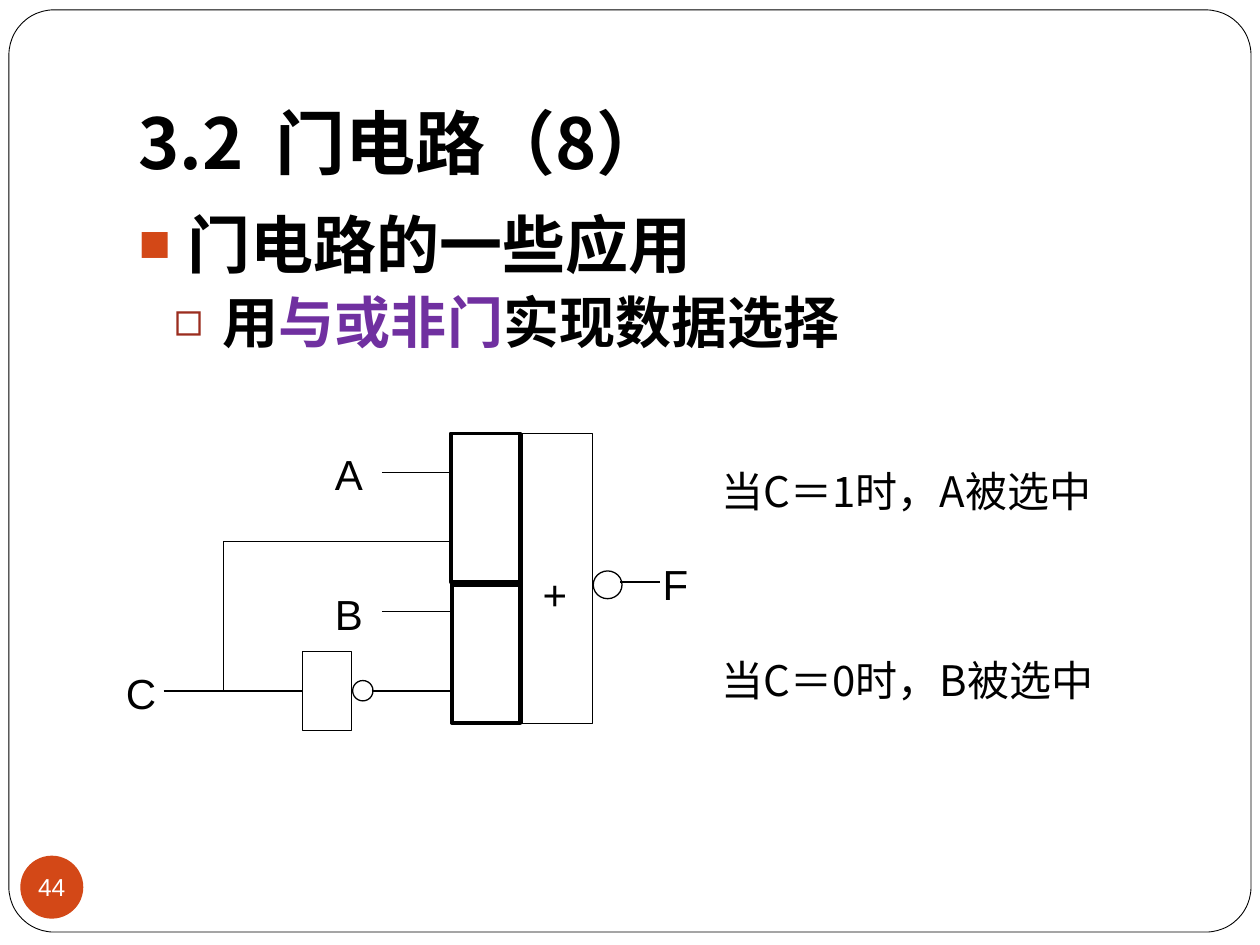
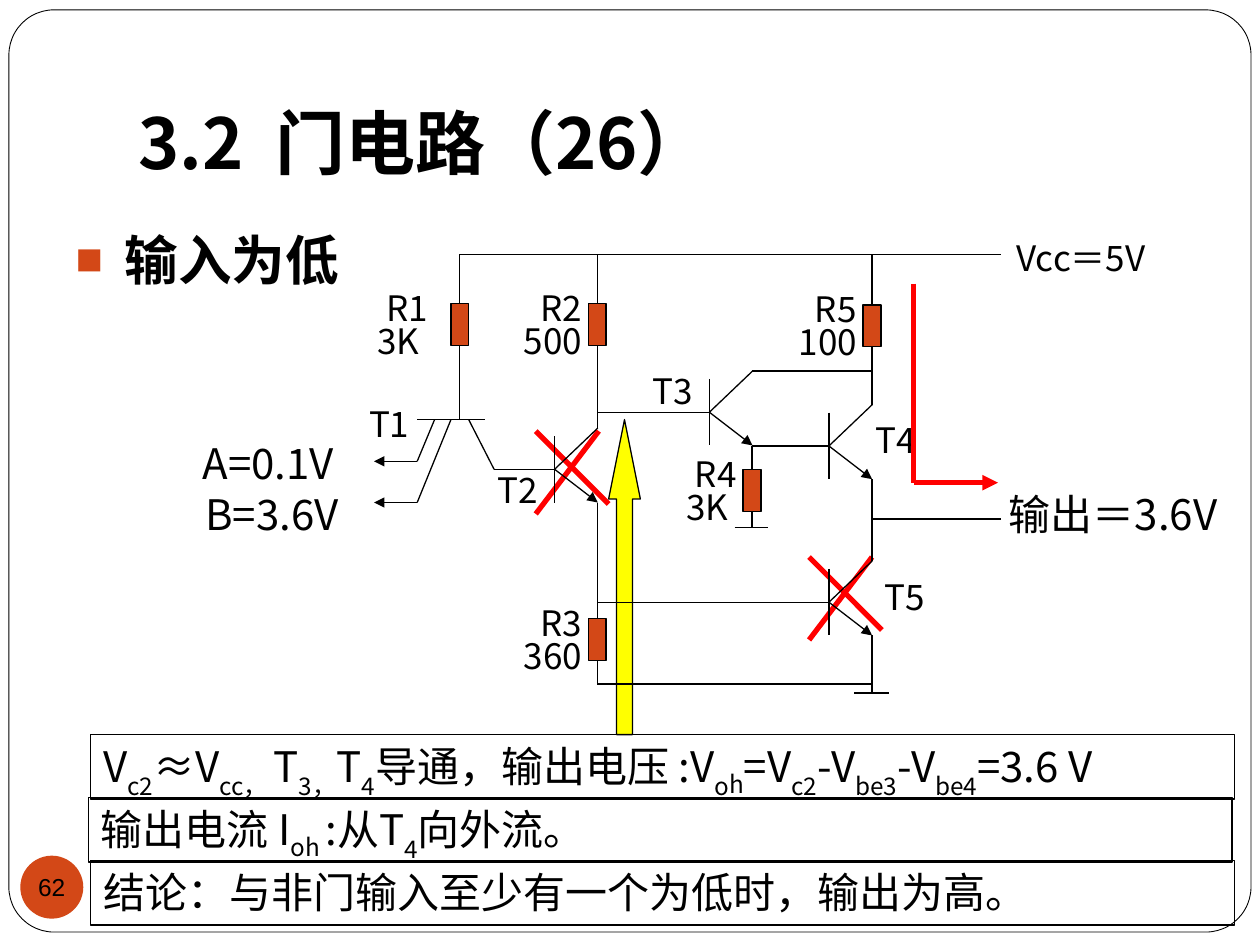
from pptx import Presentation
from pptx.dml.color import RGBColor
from pptx.enum.shapes import MSO_CONNECTOR, MSO_SHAPE as SHAPE
from pptx.enum.text import MSO_ANCHOR as ANCHOR, MSO_AUTO_SIZE, PP_ALIGN as ALIGN
from pptx.oxml.ns import qn
from pptx.util import Cm, Pt
from lxml.etree import SubElement

BLACK = RGBColor(0x00, 0x00, 0x00)
WHITE = RGBColor(0xFF, 0xFF, 0xFF)
ORANGE = RGBColor(0xD3, 0x48, 0x17)
BRICK = RGBColor(0x9B, 0x2D, 0x1F)
PURPLE = RGBColor(0x70, 0x30, 0xA0)
RED = RGBColor(0xFF, 0x00, 0x00)
YELLOW = RGBColor(0xFF, 0xFF, 0x00)
LATIN, CJK = "Arial", "Noto Sans CJK JP"
THIN, BOLD, HEAVY = 0.75, 2.25, 3


class Deck:
    def __init__(self):
        self.prs = Presentation()
        self.prs.slide_width, self.prs.slide_height = Cm(25.4), Cm(19.05)
        self.slide = None

    def new_slide(self, title, number, number_color):
        self.slide = self.prs.slides.add_slide(self.prs.slide_layouts[1])
        frame = self.shape(SHAPE.ROUNDED_RECTANGLE, 0.18, 0.2, 25.04, 18.59, WHITE, 0.5)
        frame.adjustments[0] = 0.049
        self.slide.shapes._spTree.insert(2, frame.element)

        tf = self.place(self.slide.shapes.title, 2.54, 0.76, 21.59, 3.18)
        tf.vertical_anchor = ANCHOR.BOTTOM
        tf.margin_bottom = Cm(0.25)
        tf.paragraphs[0].alignment = ALIGN.LEFT
        self.run(tf.paragraphs[0], title, 40, bold=True)

        badge = self.shape(SHAPE.OVAL, 0.41, 17.25, 1.27, 1.27, ORANGE, None)
        tf = badge.text_frame
        tf.word_wrap = False
        tf.margin_left = tf.margin_right = tf.margin_top = tf.margin_bottom = 0
        tf.paragraphs[0].alignment = ALIGN.CENTER
        self.run(tf.paragraphs[0], number, 14, LATIN, number_color)

    def place(self, sp, x, y, w, h):
        """Move a placeholder and return its text frame."""
        sp.left, sp.top, sp.width, sp.height = Cm(x), Cm(y), Cm(w), Cm(h)
        sp.text_frame.auto_size = MSO_AUTO_SIZE.NONE
        return sp.text_frame

    def run(self, p, text, size, font=CJK, color=BLACK, bold=False, base=0):
        r = p.add_run()
        r.text = text
        r.font.size, r.font.bold, r.font.name = Pt(size), bold, font
        r.font.color.rgb = color
        rPr = r._r.get_or_add_rPr()
        rPr.find(qn("a:latin")).addnext(SubElement(rPr, qn("a:ea"), typeface=CJK))
        if base:
            rPr.set("baseline", str(base * 1000))

    def body(self, x, y, w, h):
        return self.place(self.slide.placeholders[1], x, y, w, h)

    def bullet(self, p, char, color, indent, level=0, before=0):
        p.level = level
        pPr = p._p.get_or_add_pPr()
        pPr.set("marL", str(Cm(indent)))
        pPr.set("indent", str(-Cm(0.99)))
        clr = SubElement(pPr, qn("a:buClr"))
        SubElement(clr, qn("a:srgbClr"), val=str(color))
        SubElement(pPr, qn("a:buSzPct"), val="85000")
        SubElement(pPr, qn("a:buFont"), typeface=LATIN)
        SubElement(pPr, qn("a:buChar"), char=char)
        p.space_before = Pt(before)

    def label(self, text, x, y, w, h=1.27, size=24, font=CJK, inset=0.25):
        return self.rich_label([(text, 0)], x, y, w, h, size, font, inset)

    def rich_label(self, parts, x, y, w, h=1.27, size=24, font=CJK, inset=0.25):
        """Text box whose parts are (text, baseline shift in percent)."""
        sp = self.slide.shapes.add_textbox(Cm(x), Cm(y), Cm(w), Cm(h))
        tf = sp.text_frame
        tf.word_wrap = True
        tf.margin_left = tf.margin_right = Cm(inset)
        for text, base in parts:
            self.run(tf.paragraphs[0], text, size, font, base=base)
        return sp

    def note(self, parts, x, y):
        sp = self.rich_label(parts, x, y, 23.06, 1.3)
        sp.line.color.rgb, sp.line.width = BLACK, Pt(THIN)

    def shape(self, kind, x, y, w, h, fill=None, weight=THIN):
        sp = self.slide.shapes.add_shape(kind, Cm(x), Cm(y), Cm(w), Cm(h))
        sp.shadow.inherit = False
        if fill is None:
            sp.fill.background()
        else:
            sp.fill.solid()
            sp.fill.fore_color.rgb = fill
        if weight is None:
            sp.line.fill.background()
        else:
            sp.line.color.rgb, sp.line.width = BLACK, Pt(weight)
        return sp

    def line(self, x1, y1, x2, y2, color=BLACK, weight=THIN, arrow=False):
        c = self.slide.shapes.add_connector(
            MSO_CONNECTOR.STRAIGHT, Cm(x1), Cm(y1), Cm(x2), Cm(y2))
        c.line.color.rgb, c.line.width = color, Pt(weight)
        spPr = c.element.spPr
        if arrow:
            SubElement(spPr.find(qn("a:ln")), qn("a:tailEnd"), type="triangle")
        SubElement(spPr, qn("a:effectLst"))
        return c

    def resistor(self, name, value, x, y, wire_top, wire_bottom, name_dx, value_dx):
        """Resistor centred on x with its top at y, both leads and two labels."""
        h = 0.84
        sp = self.shape(SHAPE.RECTANGLE, x - 0.18, y, 0.36, h, ORANGE)
        self.line(x, wire_top, x, y).end_connect(sp, 0)
        self.line(x, y + h, x, wire_bottom).begin_connect(sp, 2)
        self.label(name, x - name_dx, y - 0.47, 1.57, 1.1, 20)
        self.label(value, x - value_dx, y + 0.19, 1.91, 1.1, 20)

    def transistor(self, x, y):
        """Transistor with its base at (x, y)."""
        self.line(x, y - 0.67, x, y + 0.67)
        self.line(x, y, x + 0.87, y + 0.67, arrow=True)
        self.line(x + 0.87, y - 0.83, x, y)

    def cross(self, x, y):
        self.line(x, y, x + 1.47, y + 1.47, RED, HEAVY)
        self.line(x + 1.27, y, x, y + 1.67, RED, HEAVY)


def selector_slide(d):
    d.new_slide("3.2  门电路（8）", "44", WHITE)
    tf = d.body(2.54, 4.01, 21.59, 12.7)
    p = tf.paragraphs[0]
    d.bullet(p, "■", ORANGE, 0.99)
    d.run(p, "门电路的一些应用", 36, LATIN, bold=True)
    p = tf.add_paragraph()
    d.bullet(p, "◻", BRICK, 1.7, level=1, before=3.7)
    for text, color in (("用", BLACK), ("与或非门", PURPLE), ("实现数据选择", BLACK)):
        d.run(p, text, 32, LATIN, color, bold=True)

    for text, y in (("当C＝1时，A被选中", 9.25), ("当C＝0时，B被选中", 13.06)):
        d.label(text, 14.3, y, 9.6)
    for text, x, y in (("F", 13.11, 11.13), ("+", 10.69, 11.33), ("A", 6.5, 8.92),
                       ("B", 6.5, 11.73), ("C", 2.29, 13.34)):
        d.label(text, x, y, 1.6, font=LATIN)

    gate_x, gate_y, c_y, tap_x = 9.09, 8.74, 13.93, 4.5
    inverter = d.shape(SHAPE.RECTANGLE, 6.1, 13.13, 0.99, 1.6)
    d.shape(SHAPE.RECTANGLE, gate_x, gate_y, 1.45, 5.84)
    d.shape(SHAPE.RECTANGLE, 10.52, gate_y, 1.42, 5.84)
    d.shape(SHAPE.RECTANGLE, gate_x, gate_y, 1.4, 3, weight=BOLD)
    d.shape(SHAPE.RECTANGLE, 9.12, 11.79, 1.37, 2.79, weight=BOLD)
    d.shape(SHAPE.OVAL, 11.96, 11.51, 0.58, 0.56)
    d.shape(SHAPE.OVAL, 7.11, 13.72, 0.41, 0.41)

    d.line(gate_x, 11.79, 10.52, 11.79)
    d.line(tap_x, 10.92, tap_x, c_y)
    d.line(3.3, c_y, 6.1, c_y).end_connect(inverter, 1)
    for x, y in ((7.7, 9.53), (tap_x, 10.92), (7.7, 12.32), (7.49, c_y)):
        d.line(x, y, gate_x, y)
    d.line(12.5, 11.73, 13.31, 11.73)


def low_input_slide(d):
    d.new_slide("3.2  门电路（26）", "62", BLACK)
    p = d.body(1.27, 4.45, 6.07, 1.7).paragraphs[0]
    d.bullet(p, "■", ORANGE, 0.99)
    d.run(p, "输入为低", 30.6, bold=True)

    arrow = d.shape(SHAPE.UP_ARROW, 12.27, 8.46, 0.64, 6.35, YELLOW)
    arrow.adjustments[0], arrow.adjustments[1] = 0.5, 2.5
    d.cross(10.8, 8.69)
    d.cross(16.31, 11.23)

    d.label("A=0.1V", 4.09, 8.69, 3.53, inset=0)
    d.label("B=3.6V", 4.14, 9.73, 3.28, inset=0)
    d.label("输出＝3.6V", 20.09, 9.73, 5.2)
    d.label("Vcc＝5V", 20.24, 4.65, 4, 1.1, 20)
    for text, x, y in (("T1", 7.19, 7.98), ("T2", 9.78, 9.32), ("T3", 12.9, 7.32),
                       ("T4", 17.4, 8.31), ("T5", 17.58, 11.48)):
        d.label(text, x, y, 1.55, 1.1, 20)

    rail_y, r1_x, r2_x, r4_x, out_x = 5.13, 9.27, 12.04, 15.16, 17.58
    d.resistor("R1", "3K", r1_x, 6.12, rail_y, 8.46, 1.73, 1.91)
    d.resistor("R2", "500", r2_x, 6.12, rail_y, 8.63, 1.4, 1.73)
    d.resistor("R5", "100", out_x, 6.15, rail_y, 8.16, 1.4, 1.73)
    d.resistor("R4", "3K", r4_x, 9.47, 8.99, 10.64, 1.4, 1.58)
    d.resistor("R3", "360", r2_x, 12.47, 10.13, 13.79, 1.4, 1.73)
    for x, y in ((11.18, 9.46), (14.3, 8.31), (16.71, 8.99), (16.71, 12.14)):
        d.transistor(x, y)

    # T1 with its two emitters and its collector
    d.line(8.41, 8.46, 9.78, 8.46)
    for x, y in ((8.76, 9.3), (9.09, 10.13)):
        d.line(x, 8.46, 8.41, y)
        d.line(8.41, y, 7.54, y, arrow=True)
    d.line(9.45, 8.46, 9.96, 9.46)

    # Level wires: start, end, height
    for x1, x2, y in ((r1_x, 20.17, rail_y), (9.96, 11.18, 9.46), (r4_x, out_x, 7.48),
                      (r2_x, 14.3, 8.31), (r4_x, 16.71, 8.99), (14.81, 15.49, 10.64),
                      (r2_x, 16.71, 12.14), (r2_x, out_x, 13.79),
                      (17.22, 17.93, 13.97), (out_x, 20.17, 10.46)):
        d.line(x1, y, x2, y)
    d.line(out_x, 9.66, out_x, 11.31)
    d.line(out_x, 12.81, out_x, 13.97)

    d.line(18.42, 5.72, 18.42, 9.73, RED, HEAVY)
    d.line(18.42, 9.73, 20.12, 9.73, RED, HEAVY, arrow=True)

    d.note([("V", 0), ("c2", -30), ("≈V", 0), ("cc， ", -30), ("T", 0), ("3，", -30),
            ("T", 0), ("4", -30), ("导通，输出电压 :V", 0), ("o", -30), ("h", -25),
            ("=V", 0), ("c2", -30), ("-V", 0), ("be3", -30), ("-V", 0), ("be4", -30),
            ("=3.6 V", 0)], 1.83, 14.81)
    d.note([("输出电流 I", 0), ("oh ", -25), (":从T", 0), ("4", -30),
            ("向外流。", 0)], 1.78, 16.08)
    d.note([("结论：与非门输入至少有一个为低时，输出为高。", 0)], 1.83, 17.35)


def main():
    d = Deck()
    selector_slide(d)
    low_input_slide(d)
    d.prs.save("out.pptx")


if __name__ == "__main__":
    main()
